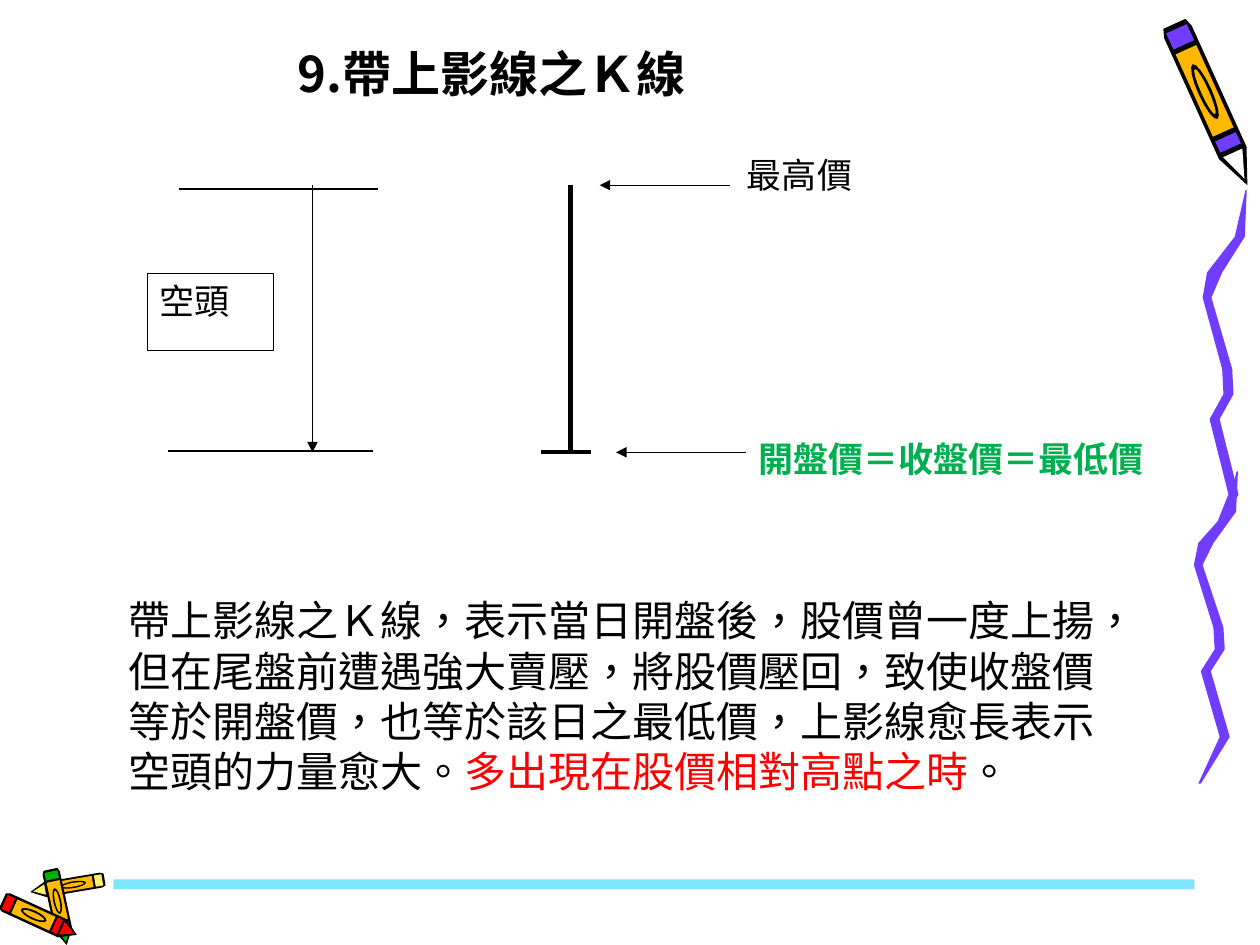
import math

import pptx
import pptx.enum.shapes
import pptx.enum.text
import pptx.oxml.ns
import pptx.util
from pptx.dml.color import RGBColor
from pptx.util import Inches

BLACK = RGBColor(0x00, 0x00, 0x00)
WHITE = RGBColor(0xFF, 0xFF, 0xFF)
RED = RGBColor(0xFF, 0x00, 0x00)
GREEN = RGBColor(0x00, 0xB0, 0x50)
CYAN = RGBColor(0x00, 0xCC, 0xFF)
PURPLE = RGBColor(0x70, 0x3D, 0xFF)
ORANGE = RGBColor(0xFF, 0xB8, 0x00)
PALE_YELLOW = RGBColor(0xFF, 0xEF, 0x66)
CRAYON_GREEN = RGBColor(0x00, 0xB2, 0x00)

TEXT_FONT = "Noto Sans CJK SC"
LABEL_FONT = "Noto Sans CJK TC"
LINE_PITCH = 1.2            # line height as a multiple of the text size
HIGH_Y, LOW_Y = 1.47, 3.59  # levels of the highest and lowest price

# Bends of the squiggle: share of its height, offset of its middle, width
SQUIGGLE_BENDS = [(0, 0.35, 0.01), (0.13, 0.3, 0.08), (0.23, 0.1, 0.12), (0.3, 0.04, 0.07),
                  (0.5, 0.2, 0.08), (0.57, 0.21, 0.08), (0.64, 0.1, 0.08),
                  (0.85, 0.25, 0.08), (1, 0.05, 0.02)]


def qualified(tag):
    return pptx.oxml.ns.qn(tag)


def add_child(parent, tag, **attributes):
    parent.append(parent.makeelement(qualified(tag), attributes))


def fill_plain(shape, color):
    shape.shadow.inherit = False
    shape.fill.solid()
    shape.fill.fore_color.rgb = color
    shape.line.fill.background()


def add_polygon(shapes, corners, color):
    points = [(Inches(x), Inches(y)) for x, y in corners]
    builder = shapes.build_freeform(*points[0])
    builder.add_line_segments(points[1:], close=True)
    fill_plain(builder.convert_to_shape(), color)


def band(start, end, half):
    return [(start, -half), (start, half), (end, half), (end, -half)]


def point(start, end, half):
    return [(start, -half), (start, half), (end, 0)]


def oval(length, half, steps=16):
    turns = [2 * math.pi * step / steps for step in range(steps)]
    return [(0.42 + length * math.cos(turn), half * math.sin(turn)) for turn in turns]


def add_crayon(slide, butt, tip, half_width, accent, point_color):
    """Parts are laid out along the axis (0 butt, 1 tip) and across it (-1 to 1)."""
    group = slide.shapes.add_group_shape()
    dx, dy = tip[0] - butt[0], tip[1] - butt[1]
    length = math.hypot(dx, dy)
    across_x, across_y = -dy / length * half_width, dx / length * half_width
    parts = [
        (BLACK, [(0, -0.8), (0, 0.8), (0.05, 1), (0.8, 1), (1, 0), (0.8, -1), (0.05, -1)]),
        (accent, band(0.03, 0.13, 0.75)),
        (ORANGE, band(0.16, 0.67, 0.75)),
        (accent, band(0.7, 0.77, 0.75)),
        (point_color, point(0.8, 0.96, 0.7)),
        (BLACK, oval(0.17, 0.45)),
        (ORANGE, oval(0.14, 0.25)),
    ]
    for color, outline in parts:
        corners = [(butt[0] + along * dx + side * across_x, butt[1] + along * dy + side * across_y)
                   for along, side in outline]
        add_polygon(group.shapes, corners, color)


def add_squiggle(slide, left, top, height):
    left_edge = [(left + middle - width / 2, top + share * height)
                 for share, middle, width in SQUIGGLE_BENDS]
    right_edge = [(left + middle + width / 2, top + share * height)
                  for share, middle, width in SQUIGGLE_BENDS]
    add_polygon(slide.shapes, left_edge + right_edge[::-1], PURPLE)


def add_footer_bar(slide):
    bar = slide.shapes.add_shape(pptx.enum.shapes.MSO_SHAPE.RECTANGLE,
                                 Inches(0.9), Inches(6.98), Inches(8.58), Inches(0.08))
    fill_plain(bar, CYAN)
    add_child(bar._element.spPr.find(".//" + qualified("a:srgbClr")), "a:alpha", val="50000")


def add_line(slide, x1, y1, x2, y2, width=0.75, arrow=False):
    line = slide.shapes.add_connector(pptx.enum.shapes.MSO_CONNECTOR.STRAIGHT,
                                      Inches(x1), Inches(y1), Inches(x2), Inches(y2))
    line.line.color.rgb = BLACK
    line.line.width = pptx.util.Pt(width)
    properties = line._element.spPr
    if arrow:
        add_child(properties.find(qualified("a:ln")), "a:tailEnd", type="triangle")
    add_child(properties, "a:effectLst")


def add_text(slide, left, top, width, height, parts, size, font, bold=False):
    """Each part is a (text, colour) pair."""
    box = slide.shapes.add_textbox(Inches(left), Inches(top), Inches(width), Inches(height))
    box.text_frame.word_wrap = True
    paragraph = box.text_frame.paragraphs[0]
    paragraph.line_spacing = pptx.util.Pt(size * LINE_PITCH)
    for text, color in parts:
        run = paragraph.add_run()
        run.text = text
        run.font.size = pptx.util.Pt(size)
        run.font.bold = bold
        run.font.color.rgb = color
        run.font.name = font
        properties = run._r.get_or_add_rPr()
        properties.set("lang", "zh-TW")
        add_child(properties, "a:ea", typeface=font)
    return box


def add_label(slide, left, top, width, height, text, color=BLACK, border=WHITE, bold=False):
    label = add_text(slide, left, top, width, height, [(text, color)], 20, LABEL_FONT, bold)
    label.fill.solid()
    label.fill.fore_color.rgb = WHITE
    label.line.color.rgb = border
    label.line.width = pptx.util.Pt(0.75)


def add_decoration(slide):
    # Squiggle in two strands, drawn by the large pencil
    add_squiggle(slide, left=9.47, top=3.74, height=2.48)
    add_squiggle(slide, left=9.54, top=1.51, height=2.84)
    add_crayon(slide, (9.32, 0.19), (9.9, 1.47), 0.12, PURPLE, WHITE)

    # Three crayons beside the footer bar
    add_crayon(slide, (0.83, 6.98), (0.24, 7.08), 0.06, PALE_YELLOW, PALE_YELLOW)
    add_crayon(slide, (0.4, 6.9), (0.53, 7.5), 0.07, CRAYON_GREEN, CRAYON_GREEN)
    add_crayon(slide, (0.02, 7.15), (0.61, 7.42), 0.08, RED, RED)
    add_footer_bar(slide)


def add_price_diagram(slide):
    # Labels
    add_label(slide, 1.17, 2.17, 1, 0.61, "空頭", border=BLACK)
    add_label(slide, 5.83, 1.17, 1.42, 0.45, "最高價")
    add_label(slide, 5.92, 3.42, 3.58, 0.5, "開盤價＝收盤價＝最低價", color=GREEN, bold=True)

    # Price range and its downward arrow
    add_line(slide, 1.33, 3.58, 2.96, 3.58)
    add_line(slide, 1.42, 1.5, 3, 1.5)
    add_line(slide, 2.48, HIGH_Y, 2.48, LOW_Y, arrow=True)

    # Candlestick: upper shadow and closing bar
    add_line(slide, 4.53, HIGH_Y, 4.53, LOW_Y, width=3)
    add_line(slide, 4.29, LOW_Y, 4.69, LOW_Y, width=2.25)

    # Pointers from the price labels
    for start_x, level in ((5.79, HIGH_Y), (5.92, LOW_Y)):
        add_line(slide, start_x, level, start_x - 1.03, level, arrow=True)


def main():
    deck = pptx.Presentation()
    deck.slide_width, deck.slide_height = Inches(10), Inches(7.5)
    slide = deck.slides.add_slide(deck.slide_layouts[6])
    add_decoration(slide)

    # Title
    title = add_text(slide, 2.15, 0.11, 3.5, 0.75, [("9.帶上影線之Ｋ線", BLACK)], 28, TEXT_FONT, bold=True)
    title.text_frame.vertical_anchor = pptx.enum.text.MSO_ANCHOR.BOTTOM
    title.text_frame.paragraphs[0].alignment = pptx.enum.text.PP_ALIGN.CENTER

    add_price_diagram(slide)

    # Explanation
    add_text(slide, 0.92, 4.67, 8.08, 1.72, [
        ("帶上影線之Ｋ線，表示當日開盤後，股價曾一度上揚，但在尾盤前遭遇強大賣壓，將股價壓回，"
         "致使收盤價等於開盤價，也等於該日之最低價，上影線愈長表示空頭的力量愈大。", BLACK),
        ("多出現在股價相對高點之時", RED),
        ("。", BLACK),
    ], 24, TEXT_FONT)

    deck.save("out.pptx")


if __name__ == "__main__":
    main()
